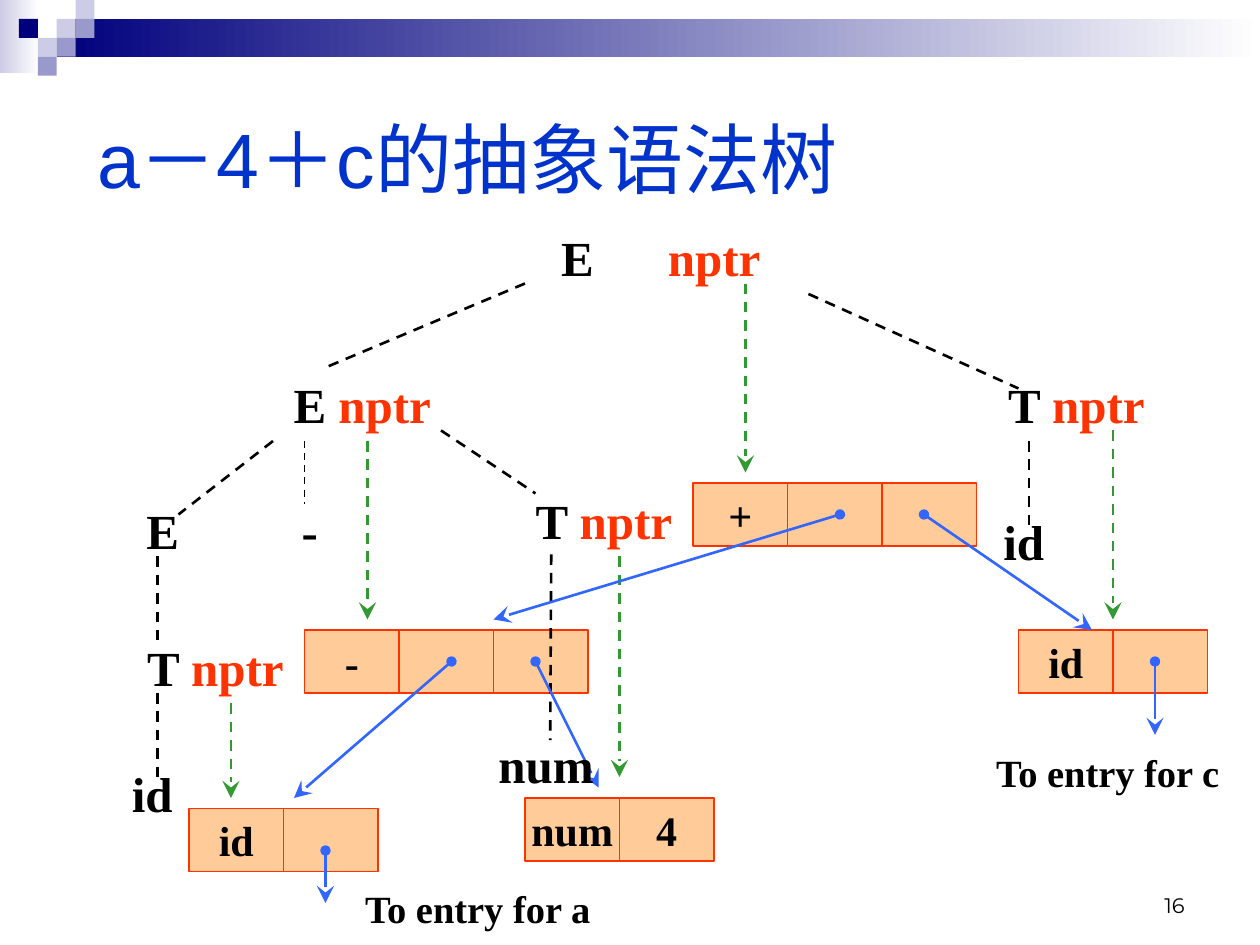
from lxml import etree
from pptx import Presentation
from pptx.dml.color import RGBColor
from pptx.enum.dml import MSO_LINE
from pptx.enum.shapes import MSO_CONNECTOR, MSO_SHAPE
from pptx.enum.text import MSO_ANCHOR, MSO_AUTO_SIZE, PP_ALIGN
from pptx.oxml.ns import qn
from pptx.util import Inches, Pt

RECT = MSO_SHAPE.RECTANGLE
STRAIGHT = MSO_CONNECTOR.STRAIGHT
DASH = MSO_LINE.DASH
LEFT, CENTER, RIGHT = PP_ALIGN.LEFT, PP_ALIGN.CENTER, PP_ALIGN.RIGHT
MIDDLE, BOTTOM = MSO_ANCHOR.MIDDLE, MSO_ANCHOR.BOTTOM
NO_FIT = MSO_AUTO_SIZE.NONE

COLORS = {
    "navy": "00007D", "lilac": "CCCCE6", "violet": "9999CC", "white": "FFFFFF",
    "title": "0033CC", "text": "000000", "nptr": "FF3300", "cell": "FFCC99",
    "pointer": "3366FF", "attribute": "339933",
}
SERIF = "Times New Roman"
COLUMNS, ROWS = 120, 90
CELL_W, CELL_H = 9, 6
TILE = 0.15

RECORDS = [
    (66, 46, ["+", "", ""]),
    (29, 60, ["-", "", ""]),
    (97, 60, ["id", ""]),
    (18, 77, ["id", ""]),
    (50, 76, ["num", "4"]),
]
BRANCHES = [
    (50, 27, 31, 35), (77, 28, 97, 37), (26, 42, 17, 49), (42, 41, 51, 47),
    (15, 53, 15, 61), (15, 66, 15, 74), (98, 42, 98, 50), (52.5, 52.8, 52.4, 70.5),
]
ATTRIBUTES = [(71, 27, 45), (35, 42, 59), (59, 53, 74), (106, 41, 59), (22, 67, 76)]
POINTERS = [
    (80, 49, 47, 59), (88, 49, 104, 60), (43, 63, 28, 76),
    (51, 63, 57, 75), (31, 81, 31, 86), (110, 63, 110, 70),
]
NODES = [
    (55, 24.5, ["E"]), (68, 24.5, ["nptr"]),
    (34.5, 38.5, ["E ", "nptr"]), (102.5, 38.5, ["T ", "nptr"]),
    (15.5, 50.5, ["E"]), (29.5, 50.5, ["-"]),
    (57.5, 49.5, ["T ", "nptr"]), (97.5, 51.5, ["id"]),
    (20.5, 63.5, ["T ", "nptr"]), (14.5, 75.5, ["id"]), (52, 72.75, ["num"]),
]
ENTRIES = [(45.5, 86.5, "To entry for a"), (105.5, 73.5, "To entry for c")]
TILES = [
    (3, 1, "lilac"), (4, 0, "lilac"), (4, 1, "violet"), (2, 2, "lilac"),
    (1, 1, "navy"), (3, 2, "violet"), (2, 3, "violet"),
]


def rgb(name):
    return RGBColor.from_string(COLORS[name])


def grid(*values):
    return [Inches(v * 10 / COLUMNS) for v in values]


def style_run(r, size, color="text", font=SERIF, bold=True):
    r.font.size, r.font.name, r.font.bold = Pt(size), font, bold
    r.font.color.rgb = rgb(color)


def add_block(shapes, box, fill, line=None):
    block = shapes.add_shape(RECT, *box)
    block.shadow.inherit = False
    block.fill.solid()
    block.fill.fore_color.rgb = rgb(fill)
    if line:
        block.line.color.rgb = rgb(line)
        block.line.width = Pt(1)
    else:
        block.line.fill.background()
    return block


def add_gradient(s, box, start):
    band = add_block(s.shapes, [Inches(v) for v in box], start)
    band.fill.gradient()
    band.fill.gradient_angle = 0
    for stop, color, position in zip(band.fill.gradient_stops, (start, "white"), (0, 1)):
        stop.color.rgb = rgb(color)
        stop.position = position


def add_header(s):
    add_gradient(s, (0, 0, 0.31, 0.58), "lilac")
    add_gradient(s, (3 * TILE, TILE, 10 - 3 * TILE, 2 * TILE), "navy")
    for column, row, color in TILES:
        box = [Inches(v * TILE) for v in (column, row, 1, 1)]
        add_block(s.shapes, box, color)


def add_title(s):
    title = s.shapes.title
    title.left, title.top, title.width, title.height = grid(6, 6, 108, 18)
    tf = title.text_frame
    tf.text = "a－4＋c的抽象语法树"
    tf.auto_size, tf.vertical_anchor = NO_FIT, MIDDLE
    tf.margin_left = Inches(0.27)
    p = tf.paragraphs[0]
    p.alignment = LEFT
    style_run(p.runs[0], 44, "title", "Arial", False)


def add_record(s, left, top, values):
    record = s.shapes.add_group_shape()
    for i, value in enumerate(values):
        box = grid(left + i * CELL_W, top, CELL_W, CELL_H)
        cell = add_block(record.shapes, box, "cell", "nptr")
        if value:
            tf = cell.text_frame
            tf.text = value
            tf.word_wrap, tf.vertical_anchor = False, MIDDLE
            p = tf.paragraphs[0]
            p.alignment = CENTER
            style_run(p.runs[0], 24)


def add_line(s, ends, color, width=1.5, dashed=True, oval=False, arrow=False):
    c = s.shapes.add_connector(STRAIGHT, *grid(*ends))
    c.line.color.rgb = rgb(color)
    c.line.width = Pt(width)
    if dashed:
        c.line.dash_style = DASH
    ln = c.line._get_or_add_ln()
    if oval:
        etree.SubElement(ln, qn("a:headEnd"), type="oval")
    if arrow:
        etree.SubElement(ln, qn("a:tailEnd"), type="stealth", w="lg", len="lg")
    etree.SubElement(c._element.spPr, qn("a:effectLst"))


def add_label(s, center, middle, parts, size=28, width=15):
    height = 7
    box = grid(center - width / 2, middle - height / 2, width, height)
    tf = s.shapes.add_textbox(*box).text_frame
    tf.word_wrap, tf.vertical_anchor = False, MIDDLE
    tf.margin_left = tf.margin_right = 0
    p = tf.paragraphs[0]
    p.alignment = CENTER
    for part in parts:
        r = p.add_run()
        r.text = part
        style_run(r, size, "nptr" if part == "nptr" else "text")


def add_page_number(s):
    tf = s.shapes.add_textbox(*grid(86, 82, 28, 6)).text_frame
    tf.text = "16"
    tf.word_wrap, tf.vertical_anchor = True, BOTTOM
    p = tf.paragraphs[0]
    p.alignment = RIGHT
    style_run(p.runs[0], 12, font="Montserrat", bold=False)


def main():
    prs = Presentation()
    prs.slide_width, prs.slide_height = grid(COLUMNS, ROWS)
    s = prs.slides.add_slide(prs.slide_layouts[5])
    add_header(s)
    add_title(s)
    for record in RECORDS:
        add_record(s, *record)
    for ends in BRANCHES:
        add_line(s, ends, "text")
    add_line(s, (29, 42, 29, 48), "text", width=1)
    for x, top, bottom in ATTRIBUTES:
        add_line(s, (x, top, x, bottom), "attribute", arrow=True)
    for ends in POINTERS:
        add_line(s, ends, "pointer", dashed=False, oval=True, arrow=True)
    for node in NODES:
        add_label(s, *node)
    for center, middle, text in ENTRIES:
        add_label(s, center, middle, [text], size=22, width=25)
    add_page_number(s)
    prs.save("out.pptx")


if __name__ == "__main__":
    main()
